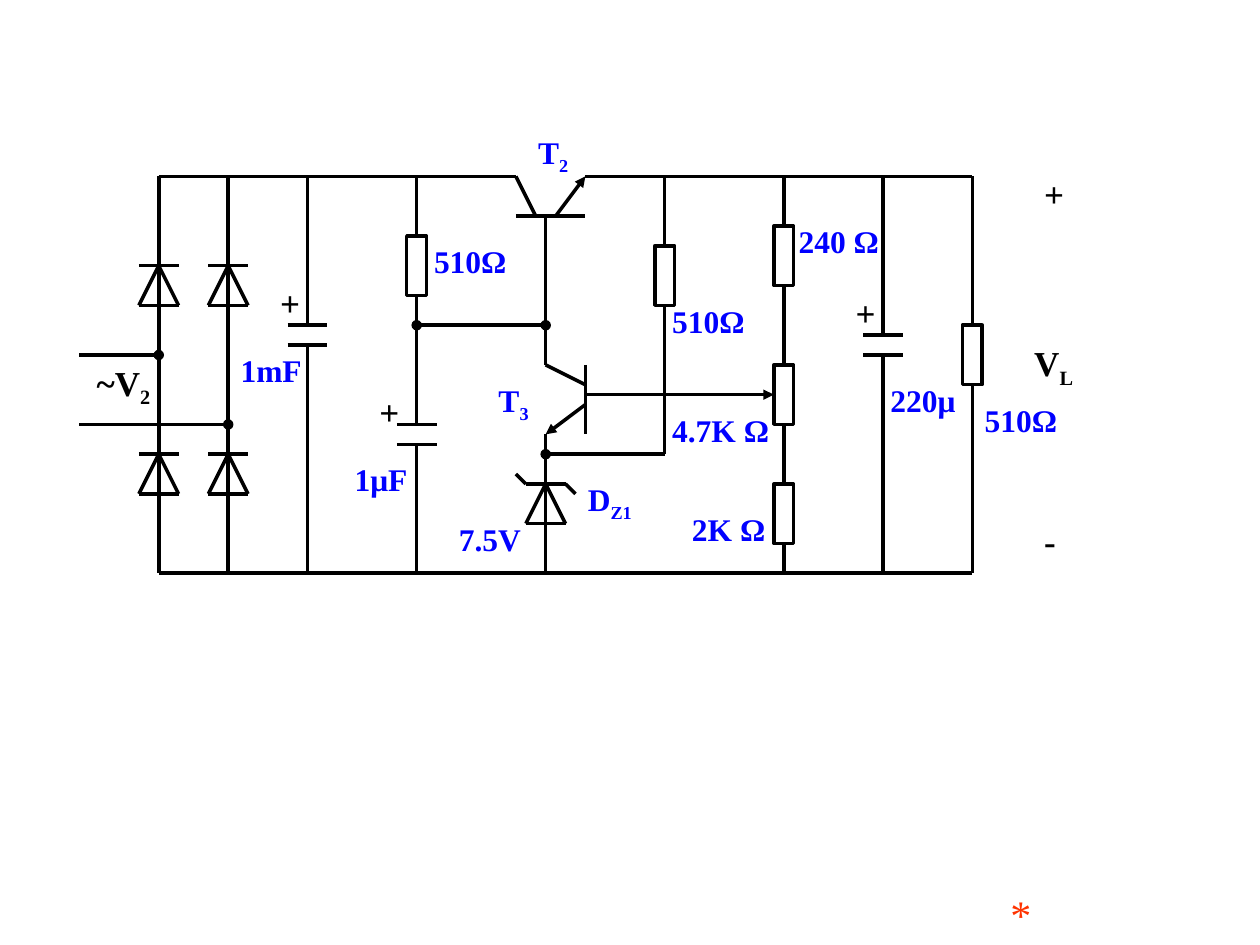
from dataclasses import dataclass
from typing import NamedTuple, Optional

from lxml.etree import SubElement
from pptx import Presentation
from pptx.dml.color import RGBColor
from pptx.enum.shapes import MSO_CONNECTOR as Connector, MSO_SHAPE as Preset
from pptx.oxml.ns import qn
from pptx.util import Emu, Inches, Pt


@dataclass(frozen=True)
class Theme:
    font: str = "Times New Roman"
    ink: RGBColor = RGBColor(0, 0, 0)
    value: RGBColor = RGBColor(0, 0, 255)
    mark: RGBColor = RGBColor(255, 51, 0)
    wire: float = 2
    value_size: float = 18
    terminal_size: float = 20
    mark_size: float = 24


class Wire(NamedTuple):
    x1: float
    y1: float
    x2: float
    y2: float
    head: Optional[str] = None
    tail: Optional[str] = None


class Label(NamedTuple):
    column: float
    row: float
    text: str
    subscript: str = ""
    columns: float = 14


class Capacitor(NamedTuple):
    column: float
    row: float
    top: float  # row where the upper lead starts; a resistor may sit above


THEME = Theme()
GROUND = 40  # row of the lower rail; the upper rail is row 0

presentation = Presentation()
presentation.slide_width, presentation.slide_height = Inches(10), Inches(7.5)
slide = presentation.slides.add_slide(presentation.slide_layouts[6])
circuit = slide.shapes.add_group_shape().shapes
CELL = presentation.slide_width / 127
RAIL_TOP = Inches(1.4)


def x_at(column: float) -> Emu:
    return Emu(round(column * CELL))


def y_at(row: float) -> Emu:
    return Emu(round(RAIL_TOP + row * CELL))


def draw_wire(wire: Wire, start=None, end=None) -> None:
    """Draw a wire; start and end are optional (shape, side) joints."""
    connector = circuit.add_connector(
        Connector.STRAIGHT, x_at(wire.x1), y_at(wire.y1), x_at(wire.x2), y_at(wire.y2))
    connector.line.color.rgb = THEME.ink
    connector.line.width = Pt(THEME.wire)
    line = connector.line._get_or_add_ln()
    for tag, kind in (("a:headEnd", wire.head), ("a:tailEnd", wire.tail)):
        if kind:
            SubElement(line, qn(tag), type=kind)
    SubElement(connector._element.spPr, qn("a:effectLst"))
    if start:
        connector.begin_connect(*start)
    if end:
        connector.end_connect(*end)


def draw_diode(column: float, row: float) -> None:
    """Draw an upward diode whose tip and bar lie on the given row."""
    for wire in (
        Wire(column, row, column - 2, row + 4),
        Wire(column, row, column + 2, row + 4),
        Wire(column - 2, row + 4, column + 2, row + 4),
        Wire(column, row - 2, column, row + 7),
        Wire(column - 2, row, column + 2, row),
    ):
        draw_wire(wire)


def draw_resistor(column: float, row: float):
    body = circuit.add_shape(
        Preset.RECTANGLE, x_at(column - 1), y_at(row), x_at(2), x_at(6))
    body.shadow.inherit = False
    body.fill.background()
    body.line.color.rgb = THEME.ink
    body.line.width = Pt(THEME.wire)
    return body


def draw_chain(column: float, rows: list[float], bottom: float) -> list:
    """Draw resistors in series from the upper rail down to the bottom row."""
    bodies = [draw_resistor(column, row) for row in rows]
    starts = [0] + [row + 6 for row in rows]
    for index, (top, end) in enumerate(zip(starts, rows + [bottom])):
        draw_wire(
            Wire(column, top, column, end),
            start=(bodies[index - 1], 2) if index else None,
            end=(bodies[index], 0) if index < len(bodies) else None)
    return bodies


def draw_capacitor(part: Capacitor) -> None:
    column, row, top = part
    if top < row:
        draw_wire(Wire(column, top, column, row))
    for plate in (row, row + 2):
        draw_wire(Wire(column - 2, plate, column + 2, plate))
    draw_wire(Wire(column, row + 2, column, GROUND))


def add_text(shapes, left, top, width, height, text: str, *, size: float,
             color: RGBColor, bold=True, subscript="", wrap=True) -> None:
    box = shapes.add_textbox(left, top, width, height)
    box.text_frame.word_wrap = wrap
    paragraph = box.text_frame.paragraphs[0]
    for part, lowered in ((text, False), (subscript, True)):
        if not part:
            continue
        run = paragraph.add_run()
        run.text = part
        run.font.name, run.font.size, run.font.bold = THEME.font, Pt(size), bold
        run.font.color.rgb = color
        if lowered:
            run._r.get_or_add_rPr().set("baseline", "-25000")


def draw_label(label: Label, height: float, size: float, color: RGBColor) -> None:
    add_text(circuit, x_at(label.column), y_at(label.row), x_at(label.columns),
             Inches(height), label.text, subscript=label.subscript, size=size, color=color)


DIODES = [(16, 9), (23, 9), (16, 28), (23, 28), (55, 31)]
CAPACITORS = [Capacitor(31, 15, 0), Capacitor(42, 25, 25), Capacitor(89, 16, 0)]
WIRES = [
    # rails and bridge rectifier
    Wire(16, 0, 52, 0), Wire(59, 0, 98, 0), Wire(16, GROUND, 98, GROUND),
    *(Wire(column, top, column, bottom) for column in (16, 23)
      for top, bottom in ((7, 0), (16, 26), (35, GROUND))),
    Wire(8, 18, 16, 18, tail="oval"), Wire(8, 25, 23, 25, tail="oval"),
    # pass transistor T2
    Wire(56, 4, 59, 0, tail="triangle"), Wire(52, 4, 59, 4), Wire(54, 4, 52, 0),
    Wire(55, 19, 55, 4), Wire(42, 15, 55, 15, head="oval", tail="oval"),
    # error amplifier T3
    Wire(59, 23, 55, 26, tail="triangle"), Wire(59, 19, 59, 26), Wire(59, 21, 55, 19),
    # zener reference
    Wire(52, 30, 53, 31), Wire(57, 31, 58, 32),
    Wire(55, 38, 55, GROUND), Wire(55, 26, 55, 29), Wire(55, 28, 67, 28, head="oval"),
]
# Label columns leave a small gap to the neighbouring wires and bodies.
VALUES = [
    Label(98, 22, "510Ω"), Label(88.5, 20, "220μ"), Label(79.25, 4, "240 Ω"),
    Label(66.5, 23, "4.7K Ω"), Label(68.5, 33, "2K Ω"), Label(66.5, 12, "510Ω"),
    Label(53, -5, "T", "2", 11), Label(49, 20, "T", "3", 11),
    Label(58, 30, "D", "Z1", 12), Label(45, 34, "7.5V", columns=13),
    Label(42.5, 6, "510Ω"), Label(34.5, 28, "1μF"), Label(23, 17, "1mF"),
]
TERMINALS = [
    Label(8.5, 18, "~V", "2", 9), Label(103, 16, "V", "L", 9), Label(104, 34, "-", columns=9),
    *(Label(column, row, "+", columns=9)
      for column, row in ((104, -1), (85, 11), (37, 21), (27, 10))),
]

for diode in DIODES:
    draw_diode(*diode)
for wire in WIRES:
    draw_wire(wire)
for capacitor in CAPACITORS:
    draw_capacitor(capacitor)
draw_chain(42, [6], 25)
draw_chain(67, [7], 28)
draw_chain(98, [15], GROUND)
divider = draw_chain(79, [5, 19, 31], GROUND)
draw_wire(Wire(59, 22, 78, 22, tail="triangle"), end=(divider[1], 1))
for label in VALUES:
    draw_label(label, 0.4, THEME.value_size, THEME.value)
for label in TERMINALS:
    draw_label(label, 0.43, THEME.terminal_size, THEME.ink)

add_text(slide.shapes, Inches(7.92), Inches(7), Inches(0.37), Inches(0.5), "*",
         size=THEME.mark_size, color=THEME.mark, bold=False, wrap=False)
presentation.save("out.pptx")
